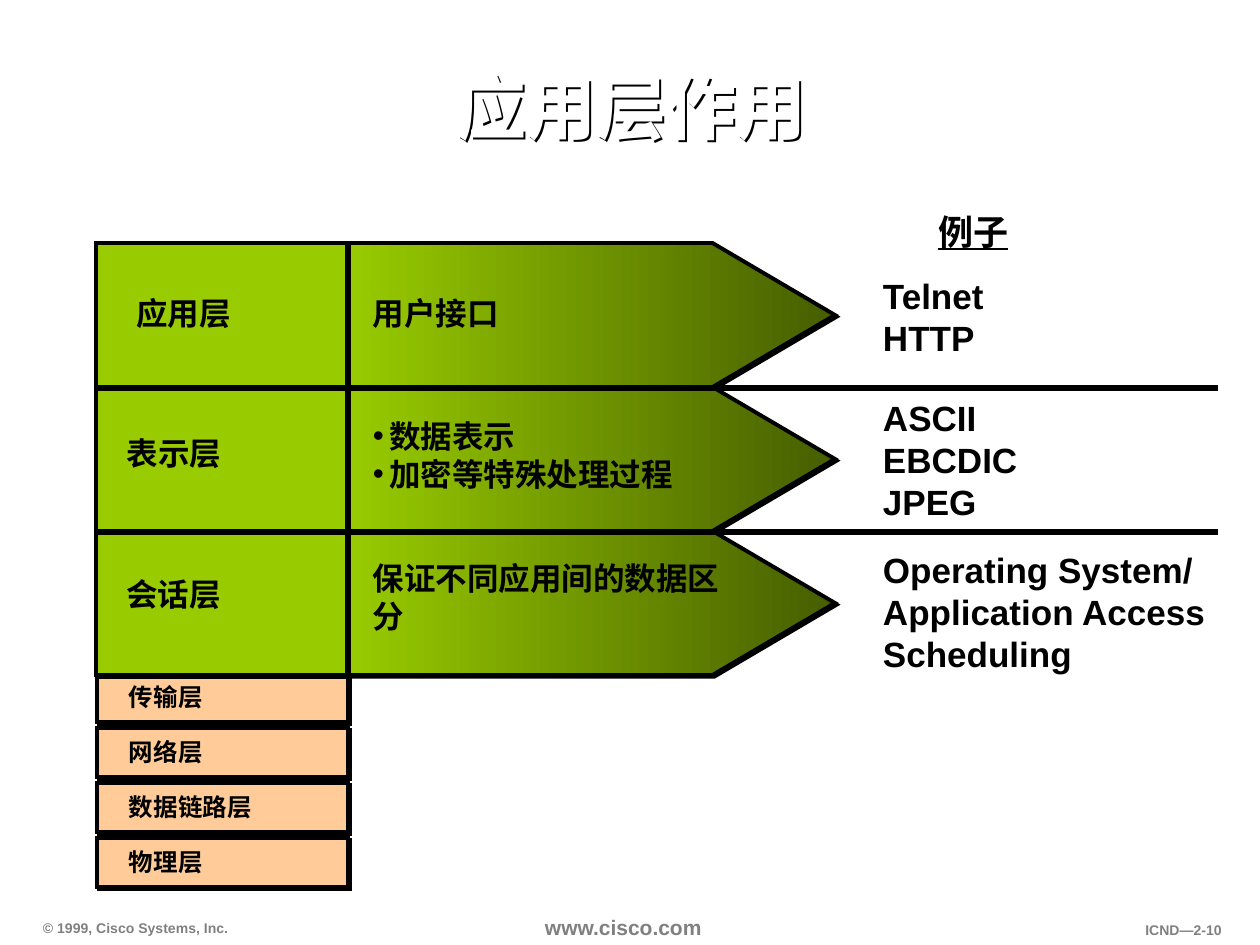
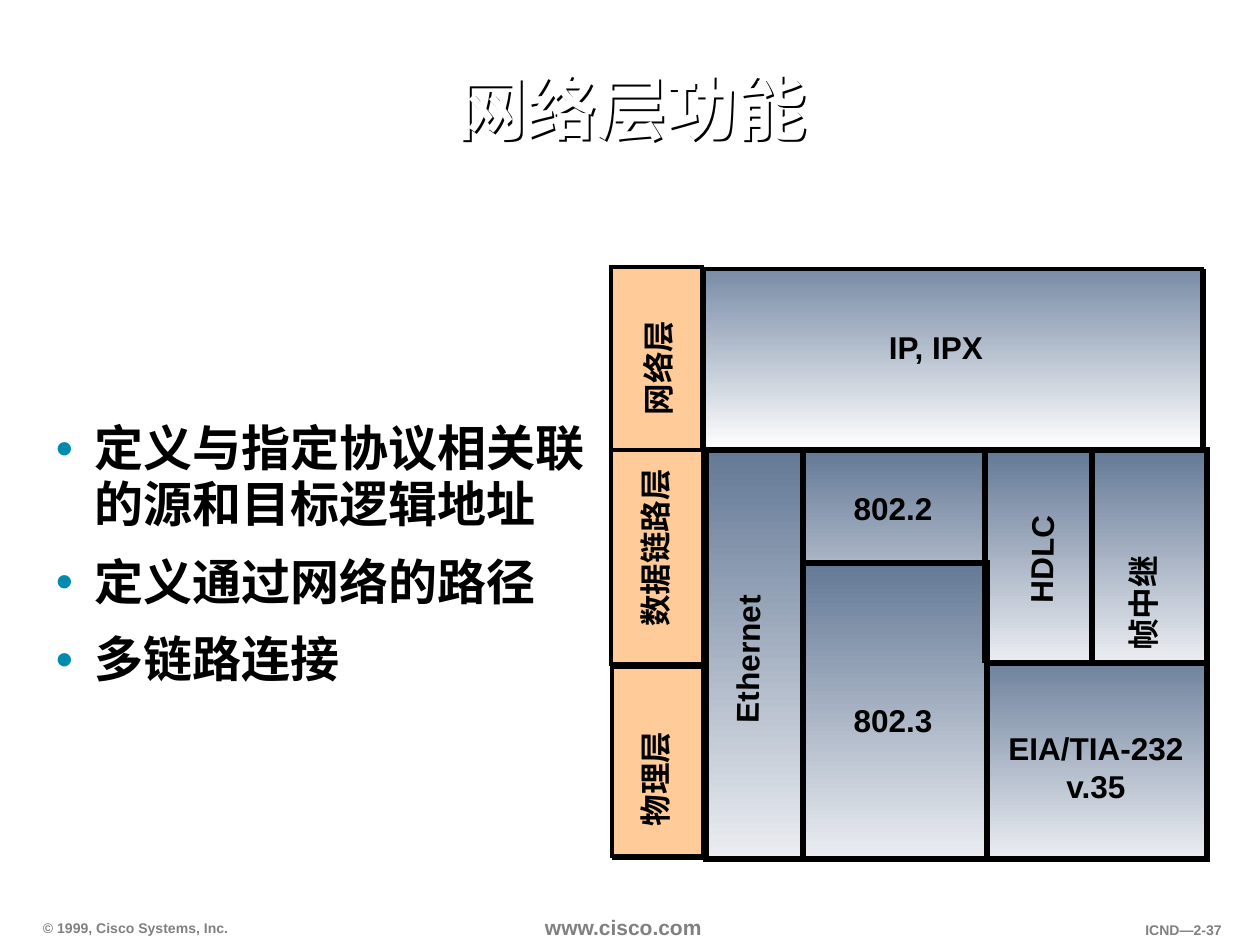
import dataclasses
import itertools

import lxml.etree
import pptx
import pptx.dml.color
import pptx.enum.shapes
import pptx.enum.text
import pptx.oxml.ns
import pptx.util

SCALE = 914400 / 126  # EMU in one px
SHAPES = pptx.enum.shapes.MSO_SHAPE
ALIGN = pptx.enum.text.PP_ALIGN
ANCHOR = pptx.enum.text.MSO_ANCHOR
qn = pptx.oxml.ns.qn


@dataclasses.dataclass(frozen=True)
class Theme:
    ink: str = "000000"
    title: str = "FFFFFF"
    footer: str = "808080"
    bullet: str = "008AAE"
    upper_layer: str = "99CC00"
    upper_layer_dark: str = "465E00"
    lower_layer: str = "FFCC99"
    network_blend: tuple = ("798CA6", "FFFFFF")
    link_blend: tuple = ("647996", "EBEDF1")
    font: str = "Arial"
    cjk_font: str = "Noto Sans CJK SC"
    title_size: int = 40
    points_size: int = 28
    example_size: int = 20
    label_size: int = 18
    small_label_size: int = 14
    site_size: int = 12
    footer_size: int = 8
    outline: float = 2.25
    rule: float = 3


THEME = Theme()


def px(length):
    return pptx.util.Emu(round(length * SCALE))


def rgb(value):
    return pptx.dml.color.RGBColor.from_string(value)


def add_shadow(shape):
    """Cast a hard shadow to the lower right; an unfilled shape casts its text."""
    shape.shadow.inherit = False
    effects = shape._element.spPr.find(qn("a:effectLst"))
    shadow = lxml.etree.SubElement(effects, qn("a:outerShdw"), blurRad="0", dist="17780",
                                   dir="2700000", algn="ctr", rotWithShape="0")
    lxml.etree.SubElement(shadow, qn("a:srgbClr"), val=THEME.ink)


def write(shape, lines, size, color=THEME.ink, font=THEME.font, align=ALIGN.LEFT,
          anchor=ANCHOR.MIDDLE, inset=(13, 6)):
    """Fill a text frame with one bold paragraph for each line."""
    frame = shape.text_frame
    frame.text = "\n".join(lines)
    frame.word_wrap = True
    frame.auto_size = pptx.enum.text.MSO_AUTO_SIZE.NONE
    frame.vertical_anchor = anchor
    frame.margin_left = frame.margin_right = px(inset[0])
    frame.margin_top = frame.margin_bottom = px(inset[1])
    for paragraph in frame.paragraphs:
        paragraph.alignment = align
        for run in paragraph.runs:
            run.font.size = pptx.util.Pt(size)
            run.font.bold = True
            run.font.color.rgb = rgb(color)
            run.font.name = font
            east_asian = lxml.etree.Element(qn("a:ea"), typeface=THEME.font)
            run.font._element.find(qn("a:latin")).addnext(east_asian)
    return frame


def add_text(slide, box, lines, size=THEME.label_size, **style):
    return write(slide.shapes.add_textbox(*map(px, box)), lines, size, **style)


def add_label(slide, center, lines, width=204, height=88, rotation=0):
    """Centre a label on a point."""
    x, y = center
    box = (x - width / 2, y - height / 2, width, height)
    label = slide.shapes.add_textbox(*map(px, box))
    label.rotation = rotation
    write(label, lines, THEME.label_size, align=ALIGN.CENTER)


def add_block(slide, box, fill, kind=SHAPES.RECTANGLE, angle=270, line=THEME.outline,
              shadow=True):
    """Draw an outlined shape; a pair of colours makes a gradient."""
    block = slide.shapes.add_shape(kind, *map(px, box))
    if isinstance(fill, tuple):
        block.fill.gradient()
        block.fill.gradient_angle = angle
        for stop, color in zip(block.fill.gradient_stops, fill):
            stop.color.rgb = rgb(color)
    else:
        block.fill.solid()
        block.fill.fore_color.rgb = rgb(fill)
    block.line.color.rgb = rgb(THEME.ink)
    block.line.width = pptx.util.Pt(line)
    outline = block._element.spPr.find(qn("a:ln"))
    lxml.etree.SubElement(outline, qn("a:miter"), lim="800000")
    block.shadow.inherit = False
    if shadow:
        add_shadow(block)
    return block


def add_rule(slide, x1, y1, x2, y2):
    rule = slide.shapes.add_connector(pptx.enum.shapes.MSO_CONNECTOR.STRAIGHT,
                                      *map(px, (x1, y1, x2, y2)))
    rule.line.color.rgb = rgb(THEME.ink)
    rule.line.width = pptx.util.Pt(THEME.rule)
    lxml.etree.SubElement(rule._element.spPr, qn("a:effectLst"))


def add_bullet(paragraph, margin, hanging, color):
    properties = paragraph._p.get_or_add_pPr()
    properties.set("marL", str(px(margin)))
    properties.set("indent", str(-px(hanging)))
    bullet_color = lxml.etree.SubElement(properties, qn("a:buClr"))
    lxml.etree.SubElement(bullet_color, qn("a:srgbClr"), val=color)
    lxml.etree.SubElement(properties, qn("a:buFont"), typeface=THEME.font)
    lxml.etree.SubElement(properties, qn("a:buChar"), char="•")


def start_slide(deck, heading, page, font=THEME.font):
    """Add a slide with its title and the three footer texts."""
    slide = deck.slides.add_slide(deck.slide_layouts[5])
    title = slide.shapes.title
    title.left, title.top, title.width, title.height = map(px, (106, 33, 1051, 158))
    title.fill.background()
    title.line.fill.background()
    add_shadow(title)
    frame = write(title, [heading], THEME.title_size, THEME.title, font,
                  ALIGN.CENTER, inset=(11, 5))
    frame.paragraphs[0].line_spacing = 0.9

    footer = {"color": THEME.footer, "inset": (11, 5)}
    add_text(slide, (32, 913, 240, 28), ["© 1999, Cisco Systems, Inc."],
             THEME.footer_size, anchor=ANCHOR.BOTTOM, **footer)
    add_text(slide, (534, 910, 190, 35), ["www.cisco.com"], THEME.site_size,
             anchor=ANCHOR.TOP, **footer)
    add_text(slide, (1082, 917, 151, 28), [page], THEME.footer_size,
             align=ALIGN.RIGHT, anchor=ANCHOR.TOP, **footer)
    return slide


def add_upper_layers(slide, left, top):
    """Draw the three layers with their role arrows and examples."""
    row_height = 144
    # name, name offset, role, role box, examples, examples box
    layers = [
        ("应用层", (27, 45), ["用户接口"], (264, 45, 316, 50),
         ["Telnet", "HTTP"], (774, 25, 247, 97)),
        ("表示层", (18, 41), ["数据表示", "加密等特殊处理过程"], (264, 24, 386, 88),
         ["ASCII", "EBCDIC", "JPEG"], (774, 3, 184, 139)),
        ("会话层", (17, 38), ["保证不同应用间的数据区分"], (264, 22, 394, 88),
         ["Operating System/", "Application Access", "Scheduling"],
         (774, 11, 358, 139)),
    ]
    row_tops = [top + row_height * row for row in range(len(layers))]

    for row_top in row_tops:
        arrow = add_block(slide, (left + 248, row_top, 491, row_height),
                          (THEME.upper_layer, THEME.upper_layer_dark),
                          SHAPES.PENTAGON, angle=0)
        arrow.adjustments[0] = 0.85
    for row_top, layer in zip(row_tops, layers):
        name, (name_x, name_y), role, role_box, examples, examples_box = layer
        add_block(slide, (left, row_top, 251, row_height), THEME.upper_layer)
        add_text(slide, (left + name_x, row_top + name_y, 146, 50), [name],
                 anchor=ANCHOR.TOP)
        x, y, *extent = role_box
        frame = add_text(slide, (left + x, row_top + y, *extent), role)
        if len(role) > 1:
            for paragraph in frame.paragraphs:
                add_bullet(paragraph, 16, 16, THEME.ink)
        x, y, *extent = examples_box
        add_text(slide, (left + x, row_top + y, *extent), examples, THEME.example_size)
    for row_top in row_tops[1:]:
        add_rule(slide, left, row_top + 1, left + 1122, row_top + 1)

    heading = add_text(slide, (left + 829, top - 39, 248, 55), ["例子"],
                       THEME.example_size)
    heading.paragraphs[0].runs[0].font.underline = True


def add_lower_layers(slide, left, top):
    names = ["传输层", "网络层", "数据链路层", "物理层"]
    for name, layer_top in zip(names, itertools.count(top, 55)):
        add_block(slide, (left, layer_top, 251, 49), THEME.lower_layer)
        add_text(slide, (left + 19, layer_top + 3, 170, 43), [name],
                 THEME.small_label_size, anchor=ANCHOR.TOP)


def add_points(slide, box, points):
    frame = add_text(slide, box, points, THEME.points_size, inset=(0, 0))
    for index, paragraph in enumerate(frame.paragraphs):
        add_bullet(paragraph, 56, 39, THEME.bullet)
        paragraph.line_spacing = 0.95
        if index:
            paragraph.space_before = pptx.util.Pt(12.2)


def add_protocol_map(slide, left, top):
    """Draw the layer column and the protocols that belong to each layer."""
    def place(x, y, *extent):
        return (left + x, top + y, *extent)

    add_block(slide, place(88, 2, 503, 181), THEME.network_blend)
    for layer_box in [(0, 0, 91, 183), (0, 183, 92, 214), (1, 400, 91, 189)]:
        add_block(slide, place(*layer_box), THEME.lower_layer)

    serial, ethernet = (192, 378, 404, 214), (95, 183, 97, 409)
    link, mac = (192, 183, 404, 213), (192, 296, 184, 296)
    for protocol_box in [serial, ethernet, link, mac]:
        add_block(slide, place(*protocol_box), THEME.link_blend, line=THEME.rule,
                  shadow=False)
    for x1, y1, x2, y2 in [(481, 183, 481, 396), (192, 296, 374, 296),
                           (374, 183, 374, 396)]:
        add_rule(slide, *place(x1, y1), *place(x2, y2))

    upright_labels = [("网络层", 47, 101, 270), ("数据链路层", 44, 281, 270),
                      ("物理层", 44, 512, 270), ("Ethernet", 136, 392, 270.8),
                      ("帧中继", 532, 336, 270.3), ("HDLC", 430, 292, 270.8)]
    for name, x, y, rotation in upright_labels:
        add_label(slide, place(x, y), [name], height=50, rotation=rotation)
    for names, x, y in [(["IP, IPX"], 325, 80), (["802.2"], 282, 241),
                        (["802.3"], 282, 453), (["EIA/TIA-232", "v.35"], 485, 500)]:
        add_label(slide, place(x, y), names)


def main():
    deck = pptx.Presentation()
    deck.slide_width, deck.slide_height = px(1260), px(945)

    application = start_slide(deck, "应用层作用", "ICND—2-10")
    add_lower_layers(application, 97, 673)
    add_upper_layers(application, 96, 243)

    network = start_slide(deck, "网络层功能", "ICND—2-37", THEME.cjk_font)
    add_points(network, (39, 424, 557, 263),
               ["定义与指定协议相关联的源和目标逻辑地址", "定义通过网络的路径", "多链路连接"])
    add_protocol_map(network, 611, 267)

    deck.save("out.pptx")


if __name__ == "__main__":
    main()
